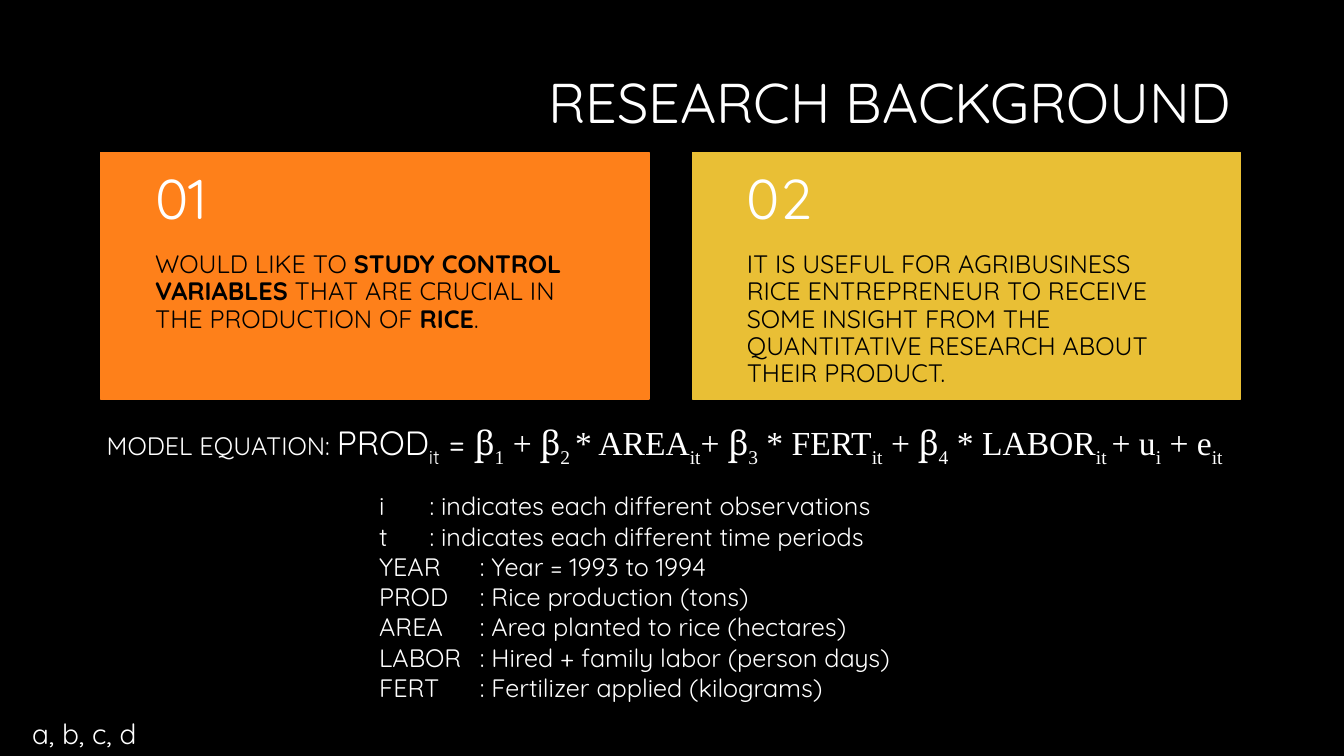
from lxml.etree import SubElement
from pptx import Presentation
from pptx.dml.color import RGBColor
from pptx.enum.shapes import MSO_SHAPE as Preset
from pptx.enum.text import MSO_ANCHOR as Anchor, MSO_AUTO_SIZE as AutoSize, PP_ALIGN as Align
from pptx.oxml.ns import qn
from pptx.util import Cm, Pt

SANS, SERIF = "Quicksand", "Times New Roman"
WHITE, BLACK, ORANGE, YELLOW = "FFFFFF", "000000", "FE801A", "E9BF35"

CARDS = [
    (2.54, ORANGE, "01", [
        ("WOULD LIKE TO ", False),
        ("STUDY CONTROL VARIABLES", True),
        (" THAT ARE CRUCIAL IN THE PRODUCTION OF ", False),
        ("RICE", True),
        (".", False),
    ]),
    (17.45, YELLOW, "02", [
        ("IT IS USEFUL FOR AGRIBUSINESS RICE ENTREPRENEUR TO RECEIVE SOME INSIGHT "
         "FROM THE QUANTITATIVE RESEARCH ABOUT THEIR PRODUCT.", False),
    ]),
]

EQUATION_TERMS = [
    ("ꞵ", "1"), (" + ꞵ", "2 "), ("* AREA", "it"), ("+ ꞵ", "3"), (" * FERT", "it"),
    (" + ꞵ", "4"), (" * LABOR", "it "), ("+ u", "i"), (" + e", "it"),
]

LEGEND = [
    ("i", "indicates each different observations"),
    ("t", "indicates each different time periods"),
    ("YEAR", "Year = 1993 to 1994"),
    ("PROD", "Rice production (tons)"),
    ("AREA", "Area planted to rice (hectares)"),
    ("LABOR", "Hired + family labor (person days)"),
    ("FERT", "Fertilizer applied (kilograms)"),
]


def color(hex_string):
    return RGBColor.from_string(hex_string)


def style(font, size, hex_string=WHITE, name=SANS):
    font.size = Pt(size)
    font.name = name
    font.color.rgb = color(hex_string)


def set_margins(frame, left, top, right, bottom):
    frame.margin_left, frame.margin_top = Cm(left), Cm(top)
    frame.margin_right, frame.margin_bottom = Cm(right), Cm(bottom)


def move(placeholder, left, top, width, height):
    placeholder.left, placeholder.top = Cm(left), Cm(top)
    placeholder.width, placeholder.height = Cm(width), Cm(height)


def add_text_frame(slide, left, top, width, height, anchor=Anchor.TOP):
    frame = slide.shapes.add_textbox(Cm(left), Cm(top), Cm(width), Cm(height)).text_frame
    frame.word_wrap = True
    frame.vertical_anchor = anchor
    return frame


def add_run(paragraph, text):
    run = paragraph.add_run()
    run.text = text
    return run


def set_title(slide, text):
    title = slide.shapes.title
    move(title, 2.51, 0.91, 28.75, 3.51)
    frame = title.text_frame
    frame.auto_size = AutoSize.NONE
    frame.vertical_anchor = Anchor.MIDDLE
    heading = frame.paragraphs[0]
    heading.text = text
    heading.alignment = Align.RIGHT
    heading.line_spacing = 0.9
    style(heading.font, 40)


def add_card(slide, left, fill, number, statement):
    panel = slide.shapes.add_shape(Preset.RECTANGLE, Cm(left), Cm(3.84), Cm(13.82), Cm(6.22))
    panel.shadow.inherit = False
    panel.fill.solid()
    panel.fill.fore_color.rgb = color(fill)
    panel.line.color.rgb = color(fill)
    panel.line.width = Pt(1)

    body = add_text_frame(slide, left, 6.35, 13.82, 3.73)
    set_margins(body, 1.37, 0, 1.37, 0.91)
    sentence = body.paragraphs[0]
    sentence.line_spacing = 0.9
    style(sentence.font, 18, BLACK)
    for text, bold in statement:
        add_run(sentence, text).font.bold = bold

    header = add_text_frame(slide, left, 3.84, 13.82, 2.49, Anchor.MIDDLE)
    set_margins(header, 1.37, 0.46, 1.37, 0.46)
    label = header.paragraphs[0]
    label.text = number
    label.line_spacing = 0.9
    style(label.font, 40)


def add_term(paragraph, base, subscript, font_name):
    style(add_run(paragraph, base).font, 24, name=font_name)
    index = add_run(paragraph, subscript)
    style(index.font, 24, name=font_name)
    index._r.get_or_add_rPr().set("baseline", "-25000")


def add_equation(slide):
    frame = add_text_frame(slide, 2.69, 10.64, 28.6, 1.02)
    frame.word_wrap = False
    frame.auto_size = AutoSize.SHAPE_TO_FIT_TEXT
    set_margins(frame, 0, 0, 0, 0)
    equation = frame.paragraphs[0]
    style(add_run(equation, "MODEL EQUATION: ").font, 18)
    add_term(equation, "PROD", "it", SANS)
    style(add_run(equation, " = ").font, 24)
    for base, subscript in EQUATION_TERMS:
        add_term(equation, base, subscript, SERIF)


def fill_legend(placeholder):
    move(placeholder, 9.3, 12.24, 15.21, 5.64)
    frame = placeholder.text_frame
    frame.auto_size = AutoSize.NONE
    frame.text = "\n".join(f"{symbol}\t: {meaning}" for symbol, meaning in LEGEND)
    for entry in frame.paragraphs:
        entry.space_before = Pt(0)
        style(entry.font, 18)
        properties = entry._p.get_or_add_pPr()
        properties.set("marL", "0")
        properties.set("indent", "0")
        bullet = SubElement(properties, qn("a:buNone"))
        properties.find(qn("a:spcBef")).addnext(bullet)


def add_footer(slide, text):
    footer = add_text_frame(slide, 0.56, 17.96, 21.59, 1.02, Anchor.MIDDLE).paragraphs[0]
    footer.text = text
    style(footer.font, 20)


def main():
    deck = Presentation()
    deck.slide_width, deck.slide_height = Cm(33.87), Cm(19.05)
    slide = deck.slides.add_slide(deck.slide_layouts[1])
    slide.background.fill.solid()
    slide.background.fill.fore_color.rgb = color(BLACK)

    set_title(slide, "RESEARCH BACKGROUND")
    for card in CARDS:
        add_card(slide, *card)
    add_equation(slide)
    fill_legend(slide.placeholders[1])
    add_footer(slide, "a, b, c, d")
    deck.save("out.pptx")


if __name__ == "__main__":
    main()
